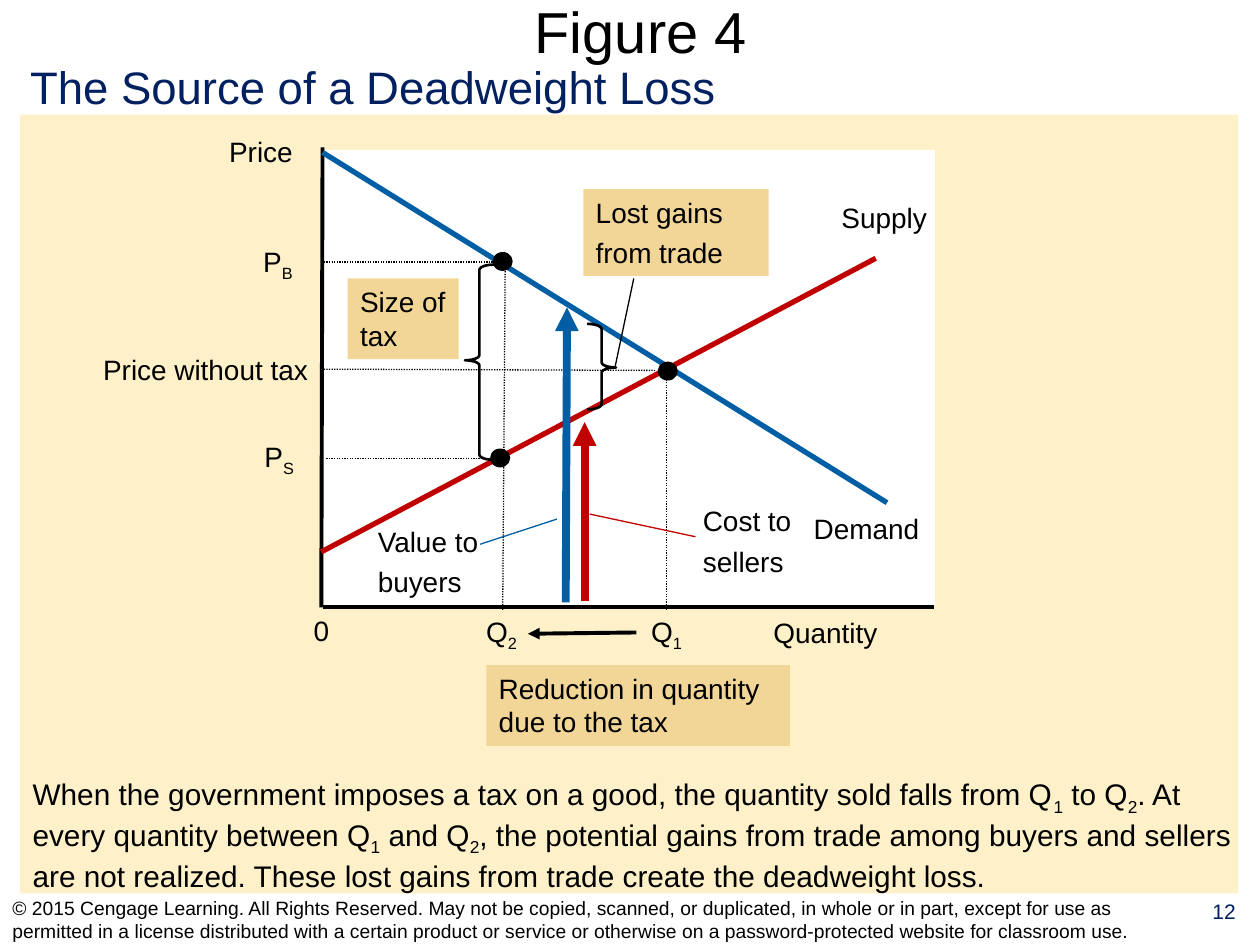
from lxml import etree
from pptx import Presentation
from pptx.dml.color import RGBColor
from pptx.enum.dml import MSO_LINE
from pptx.enum.shapes import MSO_CONNECTOR, MSO_SHAPE
from pptx.enum.text import MSO_ANCHOR, MSO_AUTO_SIZE, PP_ALIGN
from pptx.oxml.ns import qn
from pptx.util import Pt

PX = 9144  # 100 px to the inch
BLACK = RGBColor(0x00, 0x00, 0x00)
WHITE = RGBColor(0xFF, 0xFF, 0xFF)
NAVY = RGBColor(0x00, 0x20, 0x60)
BLUE = RGBColor(0x00, 0x5E, 0xA4)
RED = RGBColor(0xC0, 0x00, 0x00)
CREAM = RGBColor(0xFE, 0xF0, 0xC8)
TAN = RGBColor(0xF2, 0xD6, 0x98)

RECT, OVAL = MSO_SHAPE.RECTANGLE, MSO_SHAPE.OVAL
LEFT_BRACE, RIGHT_BRACE = MSO_SHAPE.LEFT_BRACE, MSO_SHAPE.RIGHT_BRACE
STRAIGHT = MSO_CONNECTOR.STRAIGHT
DOTS = MSO_LINE.ROUND_DOT
MIDDLE, TOP = MSO_ANCHOR.MIDDLE, MSO_ANCHOR.TOP
CENTER, LEFT = PP_ALIGN.CENTER, PP_ALIGN.LEFT
GROW, FIXED = MSO_AUTO_SIZE.SHAPE_TO_FIT_TEXT, MSO_AUTO_SIZE.NONE


def emu(*px):
    return [round(n * PX) for n in px]


def write(shape, text, size=16, color=BLACK, align=LEFT, **frame):
    """Fill a shape with text; parts between ~ marks are subscripts."""
    body = shape.text_frame
    form = {"word_wrap": True, "vertical_anchor": TOP, "auto_size": GROW}
    for key, value in {**form, **frame}.items():
        setattr(body, key, value)
    for i, line in enumerate(text.split("\n")):
        par = body.add_paragraph() if i else body.paragraphs[0]
        par.alignment = align
        if i:
            par.space_before = Pt(4)
        for j, part in enumerate(line.split("~")):
            if not part:
                continue
            run = par.add_run()
            run.text = part
            font = {"name": "Arial", "size": Pt(size)}
            for key, value in font.items():
                setattr(run.font, key, value)
            run.font.color.rgb = color
            if j % 2:
                run.font._element.set("baseline", "-25000")


def label(slide, box, text, **form):
    write(slide.shapes.add_textbox(*emu(*box)), text, **form)


def area(slide, kind, box, fill):
    shape = slide.shapes.add_shape(kind, *emu(*box))
    shape.shadow.inherit = False
    shape.fill.solid()
    shape.fill.fore_color.rgb = fill
    shape.line.fill.background()
    return shape


def note(slide, box, text):
    write(area(slide, RECT, box, TAN), text)


def brace(slide, kind, box, tip):
    shape = slide.shapes.add_shape(kind, *emu(*box))
    shape.shadow.inherit = False
    shape.fill.background()
    shape.line.color.rgb = BLACK
    shape.line.width = Pt(1.5)
    shape.adjustments[0] = 0.18
    shape.adjustments[1] = tip


def line(slide, ends, color=BLACK, width=0.75, dash=None, arrow=False):
    link = slide.shapes.add_connector(STRAIGHT, *emu(*ends))
    link.line.color.rgb = color
    link.line.width = Pt(width)
    if dash:
        link.line.dash_style = dash
    if arrow:
        stroke = link.line._get_or_add_ln()
        etree.SubElement(stroke, qn("a:tailEnd"), type="triangle")
    etree.SubElement(link._element.spPr, qn("a:effectLst"))


def draw_text(slide):
    label(slide, (35, 0, 947, 49), "Figure 4", size=33, align=CENTER,
          vertical_anchor=MIDDLE, auto_size=FIXED, margin_left=0,
          margin_right=0, margin_top=0, margin_bottom=0)
    label(slide, (14, 42, 570, 54), "The Source of a Deadweight Loss",
          size=26, color=NAVY, word_wrap=False)
    label(slide, (16, 611, 979, 103),
          "When the government imposes a tax on a good, the quantity sold "
          "falls from Q~1~ to Q~2~. At every quantity between Q~1~ and Q~2~, "
          "the potential gains from trade among buyers and sellers are not "
          "realized. These lost gains from trade create the deadweight loss.",
          size=17)
    label(slide, (0, 710, 942, 40),
          "© 2015 Cengage Learning. All Rights Reserved. May not be copied, "
          "scanned, or duplicated, in whole or in part, except for use as "
          "permitted in a license distributed with a certain product or "
          "service or otherwise on a password-protected website for "
          "classroom use.",
          size=11, vertical_anchor=MIDDLE, auto_size=FIXED)
    label(slide, (943, 708, 57, 41), "12", size=12, color=NAVY,
          align=CENTER, auto_size=FIXED)


def draw_graph(slide):
    area(slide, RECT, (257, 119, 485, 361), WHITE)
    line(slide, (256, 117, 255, 482), width=2.25)
    line(slide, (256, 482, 741, 482), width=2.25)
    line(slide, (256, 121, 704, 399), BLUE, 3)
    line(slide, (255, 438, 695, 205), RED, 3)
    for ends in ((529, 295, 529, 484), (401, 205, 399, 484),
                 (259, 364, 401, 364), (257, 293, 521, 294),
                 (257, 208, 401, 208)):
        line(slide, ends, dash=DOTS)
    for left, top in ((389, 356), (522, 287), (391, 200)):
        area(slide, OVAL, (left, top, 16, 15), BLACK)

    label(slide, (172, 102, 81, 37), "Price")
    label(slide, (604, 484, 136, 37), "Quantity")
    for box, text in (
        ((239, 482, 36, 37), "0"),
        ((636, 401, 108, 37), "Demand"),
        ((658, 154, 92, 37), "Supply"),
        ((507, 483, 50, 41), "Q~1~"),
        ((376, 483, 50, 41), "Q~2~"),
        ((200, 344, 50, 41), "P~S~"),
        ((199, 189, 50, 41), "P~B~"),
        ((72, 275, 188, 37), "Price without tax"),
        ((290, 411, 106, 69), "Value to\nbuyers"),
        ((548, 395, 95, 69), "Cost to\nsellers"),
    ):
        label(slide, box, text, word_wrap=False)


def draw_notes(slide):
    note(slide, (276, 221, 88, 64), "Size of tax")
    brace(slide, LEFT_BRACE, (369, 210, 23, 155), 0.49)
    line(slide, (449, 478, 450, 244), BLUE, 4.5, arrow=True)
    line(slide, (381, 432, 442, 412), BLUE)
    line(slide, (464, 477, 464, 335), RED, 4.5, arrow=True)
    line(slide, (468, 408, 552, 426), RED)
    note(slide, (463, 150, 147, 69), "Lost gains\nfrom trade")
    brace(slide, RIGHT_BRACE, (466, 257, 23, 68), 0.51)
    line(slide, (488, 292, 503, 221))
    line(slide, (505, 502, 419, 503), width=2.25, arrow=True)
    note(slide, (386, 528, 241, 64), "Reduction in quantity due to the tax")


def main():
    deck = Presentation()
    deck.slide_width, deck.slide_height = emu(1000, 750)
    slide = deck.slides.add_slide(deck.slide_layouts[6])
    area(slide, RECT, (16, 91, 967, 618), CREAM)
    draw_text(slide)
    draw_graph(slide)
    draw_notes(slide)
    deck.save("out.pptx")


if __name__ == "__main__":
    main()
